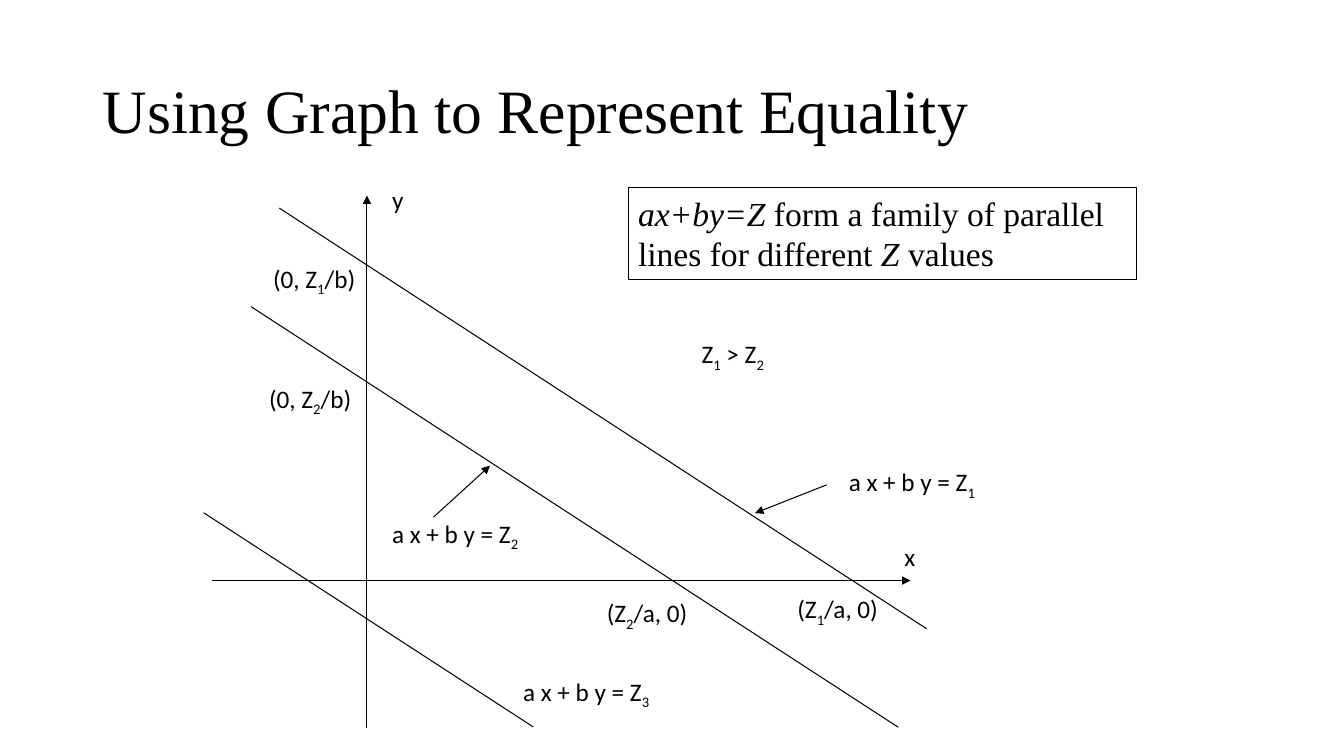
from lxml import etree
from pptx import Presentation
from pptx import util as u
from pptx.dml.color import RGBColor
from pptx.enum import shapes, text
from pptx.oxml.ns import qn

COLORS = {"ink": "000000"}
SLIDE_WIDTH, SLIDE_HEIGHT = 13.33, 7.5
SERIF, SANS = "Times New Roman", "Calibri"

# The graph box is 10 columns wide; the origin lies on this column and row.
GRAPH_COLUMNS = 10
ORIGIN_COLUMN, ORIGIN_ROW = 2, 4

SLOPE = -0.65
# y-intercept, first x, last x
PARALLEL_LINES = [(3.13, -0.87, 5.55), (1.97, -1.15, 5.27), (-0.38, -1.62, 1.65)]
# start x, start y, end x, end y
AXES = [(0, -1.46, 0, 3.82), (-1.54, 0, 5.39, 0)]
POINTERS = [(4.56, 0.95, 3.85, 0.67), (0.66, 0.63, 1.22, 1.14)]
# "_" lowers the next character; then left x, top y, width
LABELS = [
    ("y", 0.15, 3.98, 0.67),
    ("x", 5.23, 0.44, 0.59),
    ("(0, Z_1/b)", -1.03, 3.2, 1.1),
    ("(0, Z_2/b)", -1.07, 2.01, 1.1),
    ("(Z_1/a, 0)", 4.17, -0.08, 1.26),
    ("(Z_2/a, 0)", 2.28, -0.12, 1.26),
    ("a x + b y = Z_1", 4.68, 1.18, 2.95),
    ("a x + b y = Z_2", 0.15, 0.67, 2.95),
    ("a x + b y = Z_3", 1.45, -0.9, 2.95),
    ("Z_1 > Z_2", 3.22, 2.45, 2.32),
]
LABEL_HEIGHT = 0.4


def add_run(paragraph, words, **font_format):
    run = paragraph.add_run()
    run.text = words
    run.font.color.rgb = RGBColor.from_string(COLORS["ink"])
    for name, value in font_format.items():
        setattr(run.font, name, value)
    return run


def add_text_box(slide, box):
    text_box = slide.shapes.add_textbox(*map(u.Inches, box))
    text_box.text_frame.word_wrap = True
    return text_box


def style_line(line):
    line.color.rgb = RGBColor.from_string(COLORS["ink"])
    line.width = u.Pt(0.75)


def add_line(slide, start, end, arrow=False):
    connector = slide.shapes.add_connector(
        shapes.MSO_CONNECTOR.STRAIGHT, *map(u.Inches, (*start, *end)))
    style_line(connector.line)
    if arrow:
        etree.SubElement(connector.line._get_or_add_ln(), qn("a:tailEnd"), type="triangle")
    etree.SubElement(connector._element.spPr, qn("a:effectLst"))


def add_label(slide, box, words):
    """Write words in which "_" makes the next character a subscript."""
    paragraph = add_text_box(slide, box).text_frame.paragraphs[0]
    style = {"name": SANS, "size": u.Pt(18)}
    first, *rest = words.split("_")
    if first:
        add_run(paragraph, first, **style)
    for part in rest:
        subscript = add_run(paragraph, part[0], **style)
        subscript._r.get_or_add_rPr().set("baseline", "-25000")
        if part[1:]:
            add_run(paragraph, part[1:], **style)


def add_title(slide, box):
    frame = add_text_box(slide, box).text_frame
    frame.vertical_anchor = text.MSO_ANCHOR.MIDDLE
    paragraph = frame.paragraphs[0]
    paragraph.line_spacing = 0.9
    add_run(paragraph, "Using Graph to Represent Equality", name=SERIF, size=u.Pt(44))


def add_graph(slide, box):
    left, top, width, _ = box
    unit = width / GRAPH_COLUMNS

    def place(x, y):
        return left + (ORIGIN_COLUMN + x) * unit, top + (ORIGIN_ROW - y) * unit

    for x1, y1, x2, y2 in AXES + POINTERS:
        add_line(slide, place(x1, y1), place(x2, y2), arrow=True)
    for intercept, first, last in PARALLEL_LINES:
        add_line(slide, *(place(x, intercept + SLOPE * x) for x in (first, last)))
    for words, x, y, label_width in LABELS:
        add_label(slide, (*place(x, y), label_width * unit, LABEL_HEIGHT * unit), words)


def add_note(slide, box):
    note = slide.shapes.add_shape(shapes.MSO_SHAPE.RECTANGLE, *map(u.Inches, box))
    note.shadow.inherit = False
    note.fill.background()
    style_line(note.line)
    frame = note.text_frame
    frame.word_wrap = True
    frame.vertical_anchor = text.MSO_ANCHOR.TOP
    paragraph = frame.paragraphs[0]
    paragraph.alignment = text.PP_ALIGN.LEFT
    for words, italic in [
        ("ax+by=Z", True),
        (" form a family of parallel lines for different ", False),
        ("Z", True),
        (" values", False),
    ]:
        add_run(paragraph, words, name=SERIF, size=u.Pt(24), italic=italic)


def main():
    presentation = Presentation()
    presentation.slide_width = u.Inches(SLIDE_WIDTH)
    presentation.slide_height = u.Inches(SLIDE_HEIGHT)
    slide = presentation.slides.add_slide(presentation.slide_layouts[6])
    add_title(slide, (0.92, 0.4, 11.5, 1.45))
    add_graph(slide, (1.64, 1.76, 10, 5.5))
    add_note(slide, (6.23, 1.86, 5.04, 0.91))
    presentation.save("out.pptx")


if __name__ == "__main__":
    main()
